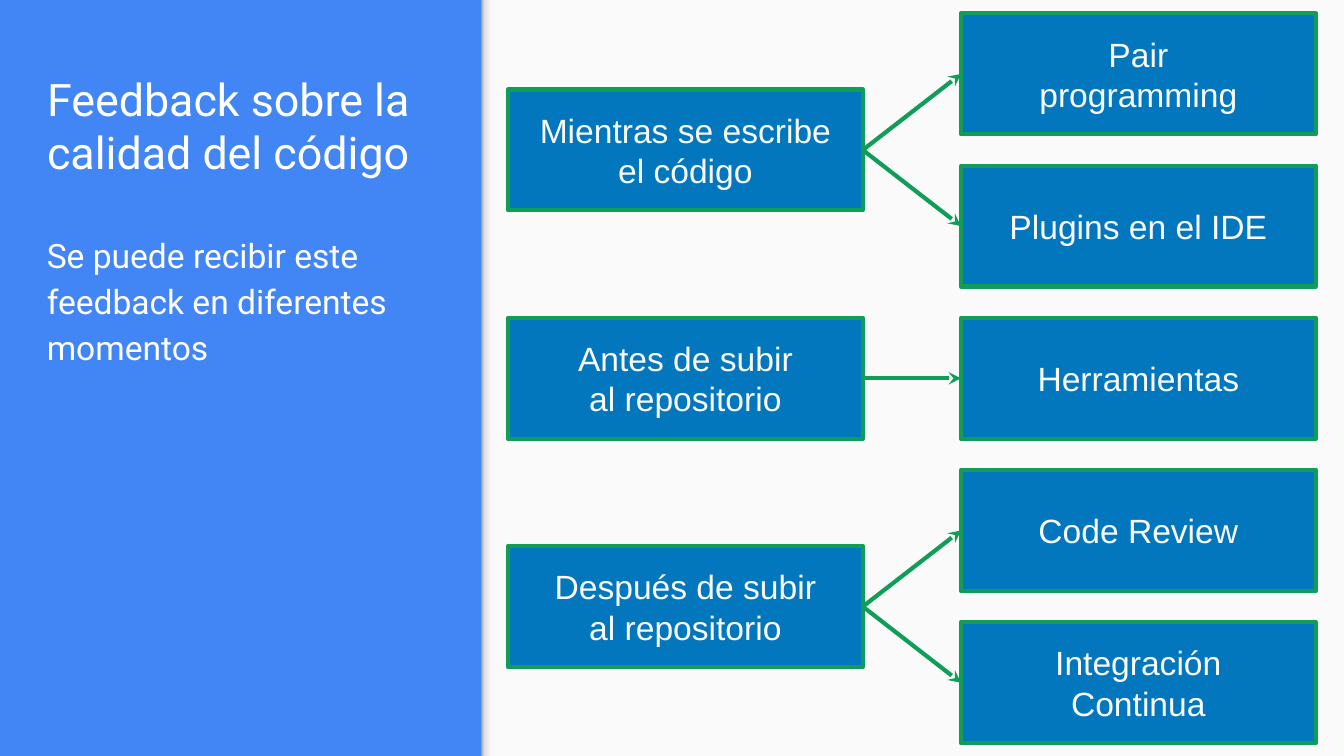
from copy import deepcopy
from dataclasses import dataclass

from lxml.etree import SubElement
from pptx import Presentation
from pptx.dml.color import RGBColor
from pptx.enum.shapes import MSO_CONNECTOR as Connector, MSO_SHAPE as Shape
from pptx.enum.text import MSO_ANCHOR as Anchor, MSO_AUTO_SIZE as AutoSize, PP_ALIGN as Align
from pptx.oxml.ns import qn
from pptx.shapes.autoshape import Shape as AutoShape
from pptx.slide import Slide
from pptx.text.text import TextFrame
from pptx.util import Inches, Pt


@dataclass(frozen=True)
class Theme:
    sidebar: RGBColor = RGBColor.from_string("4285F4")
    panel: RGBColor = RGBColor.from_string("FAFAFA")
    box: RGBColor = RGBColor.from_string("0277BD")
    outline: RGBColor = RGBColor.from_string("0F9D58")
    sidebar_text: RGBColor = RGBColor.from_string("FFFFFF")
    box_text: RGBColor = RGBColor.from_string("FAFAFA")
    edge_stops: tuple[tuple[float, str], ...] = (
        (0, "999999"), (0.2, "DEDEDE"), (0.64, "F9F9F9"), (1, "F9F9F9"))
    heading_font: str = "Roboto"
    box_font: str = "Arial"
    title_size: Pt = Pt(24)
    text_size: Pt = Pt(18)
    line_width: Pt = Pt(2.25)


@dataclass(frozen=True)
class Stage:
    lines: tuple[str, ...]
    practices: tuple[tuple[str, ...], ...]


THEME = Theme()
SLIDE_WIDTH = 10
SLIDE_HEIGHT = SLIDE_WIDTH * 9 / 16
SIDEBAR_WIDTH = 3.58
EDGE_WIDTH = 0.12
TEXT_LEFT, TEXT_WIDTH = 0.25, 3.07
BOX_WIDTH, BOX_HEIGHT = 2.64, 0.9
STAGE_LEFT, PRACTICE_LEFT = 3.78, 7.15
RIGHT_SITE, LEFT_SITE = 3, 1

STAGES = (
    Stage(("Mientras se escribe", "el código"),
          (("Pair", "programming"), ("Plugins en el IDE",))),
    Stage(("Antes de subir", "al repositorio"), (("Herramientas",),)),
    Stage(("Después de subir", "al repositorio"),
          (("Code Review",), ("Integración", "Continua"))),
)
FIRST_ROW, LAST_ROW = 0.1, 4.63
ROW_PITCH = (LAST_ROW - FIRST_ROW) / (sum(len(stage.practices) for stage in STAGES) - 1)


def write_lines(frame: TextFrame, lines: tuple[str, ...], font_name: str, size: Pt,
                color: RGBColor, align: Align, anchor: Anchor) -> None:
    frame.word_wrap = True
    frame.auto_size = AutoSize.NONE
    frame.vertical_anchor = anchor
    frame.margin_left = frame.margin_right = Inches(0.1)
    frame.margin_top = frame.margin_bottom = Inches(0.1)
    frame.text = "\n".join(lines)
    for paragraph in frame.paragraphs:
        paragraph.alignment = align
        paragraph.font.name = font_name
        paragraph.font.size = size
        paragraph.font.color.rgb = color


def add_rectangle(slide: Slide, left: float, top: float, width: float,
                  height: float) -> AutoShape:
    rectangle = slide.shapes.add_shape(
        Shape.RECTANGLE, Inches(left), Inches(top), Inches(width), Inches(height))
    rectangle.shadow.inherit = False
    rectangle.line.fill.background()
    return rectangle


def add_panel(slide: Slide) -> None:
    panel = add_rectangle(slide, SIDEBAR_WIDTH, 0, SLIDE_WIDTH - SIDEBAR_WIDTH, SLIDE_HEIGHT)
    panel.fill.solid()
    panel.fill.fore_color.rgb = THEME.panel

    edge = add_rectangle(slide, SIDEBAR_WIDTH, 0, EDGE_WIDTH, SLIDE_HEIGHT)
    edge.fill.gradient()
    edge.fill.gradient_angle = 0
    stop_list = edge._element.spPr.find(qn("a:gradFill")).find(qn("a:gsLst"))
    while len(stop_list) < len(THEME.edge_stops):
        stop_list.append(deepcopy(stop_list[0]))
    for stop, (position, color) in zip(edge.fill.gradient_stops, THEME.edge_stops):
        stop.position = position
        stop.color.rgb = RGBColor.from_string(color)


def add_sidebar_text(slide: Slide) -> None:
    title = slide.shapes.title
    title.left, title.top = Inches(TEXT_LEFT), Inches(0.39)
    title.width, title.height = Inches(TEXT_WIDTH), Inches(1.04)
    write_lines(title.text_frame, ("Feedback sobre la calidad del código",),
                THEME.heading_font, THEME.title_size, THEME.sidebar_text,
                Align.LEFT, Anchor.BOTTOM)

    summary = slide.shapes.add_textbox(
        Inches(TEXT_LEFT), Inches(1.6), Inches(TEXT_WIDTH), Inches(3.46))
    write_lines(summary.text_frame,
                ("Se puede recibir este feedback en diferentes momentos",),
                THEME.heading_font, THEME.text_size, THEME.sidebar_text,
                Align.LEFT, Anchor.TOP)
    paragraph = summary.text_frame.paragraphs[0]
    paragraph.line_spacing = 1.15
    paragraph.space_after = Pt(16)


def add_box(slide: Slide, left: float, row: float, lines: tuple[str, ...]) -> AutoShape:
    box = add_rectangle(slide, left, FIRST_ROW + row * ROW_PITCH, BOX_WIDTH, BOX_HEIGHT)
    box.fill.solid()
    box.fill.fore_color.rgb = THEME.box
    box.line.color.rgb = THEME.outline
    box.line.width = THEME.line_width
    write_lines(box.text_frame, lines, THEME.box_font, THEME.text_size, THEME.box_text,
                Align.CENTER, Anchor.MIDDLE)
    return box


def add_arrow(slide: Slide, stage_box: AutoShape, practice_box: AutoShape) -> None:
    arrow = slide.shapes.add_connector(Connector.STRAIGHT, 0, 0, 0, 0)
    arrow.begin_connect(stage_box, RIGHT_SITE)
    arrow.end_connect(practice_box, LEFT_SITE)
    arrow.line.color.rgb = THEME.outline
    arrow.line.width = THEME.line_width
    SubElement(arrow.line._get_or_add_ln(), qn("a:tailEnd"), type="stealth")
    SubElement(arrow._element.spPr, qn("a:effectLst"))


def add_stages(slide: Slide) -> None:
    row = 0
    for stage in STAGES:
        count = len(stage.practices)
        stage_box = add_box(slide, STAGE_LEFT, row + (count - 1) / 2, stage.lines)
        for offset, practice in enumerate(stage.practices):
            practice_box = add_box(slide, PRACTICE_LEFT, row + offset, practice)
            add_arrow(slide, stage_box, practice_box)
        row += count


def main() -> None:
    presentation = Presentation()
    presentation.slide_width = Inches(SLIDE_WIDTH)
    presentation.slide_height = Inches(SLIDE_HEIGHT)
    slide = presentation.slides.add_slide(presentation.slide_layouts.get_by_name("Title Only"))
    slide.background.fill.solid()
    slide.background.fill.fore_color.rgb = THEME.sidebar
    add_panel(slide)
    add_sidebar_text(slide)
    add_stages(slide)
    presentation.save("out.pptx")


if __name__ == "__main__":
    main()
